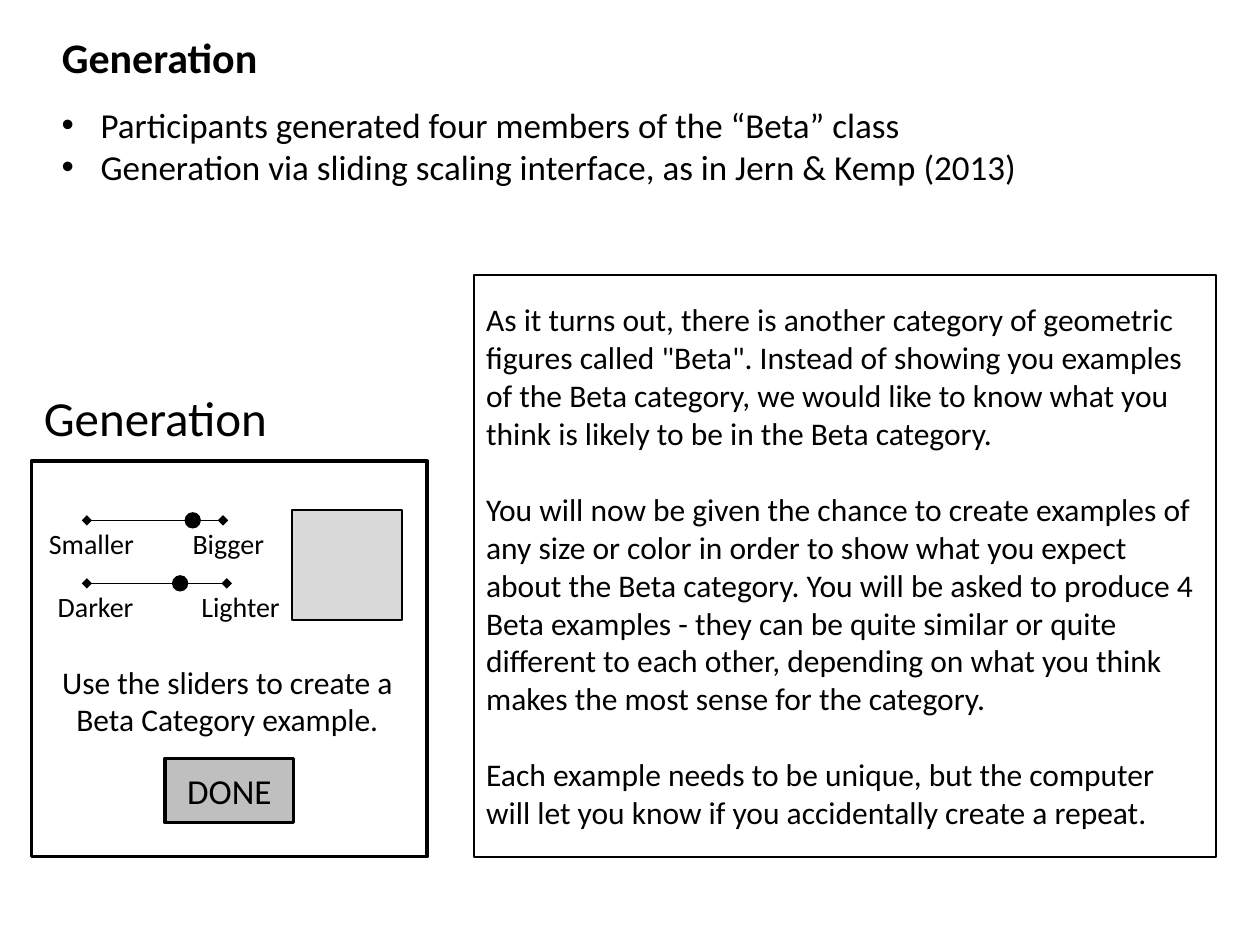
import pptx
import pptx.util
import pptx.dml.color
import pptx.enum.shapes
import pptx.enum.text
import pptx.oxml
import pptx.oxml.ns
from lxml import etree

Inches, Pt = pptx.util.Inches, pptx.util.Pt
SHAPE = pptx.enum.shapes.MSO_SHAPE
ALIGN = pptx.enum.text.PP_ALIGN
ANCHOR = pptx.enum.text.MSO_ANCHOR
qn = pptx.oxml.ns.qn

TITLE = "Generation"
POINTS = [
    "Participants generated four members of the “Beta” class",
    "Generation via sliding scaling interface, as in Jern & Kemp (2013)",
]
INSTRUCTIONS = [
    'As it turns out, there is another category of geometric figures called "Beta". '
    "Instead of showing you examples of the Beta category, we would like to know what "
    "you think is likely to be in the Beta category.",
    "You will now be given the chance to create examples of any size or color in order "
    "to show what you expect about the Beta category. You will be asked to produce 4 "
    "Beta examples - they can be quite similar or quite different to each other, "
    "depending on what you think makes the most sense for the category.",
    "Each example needs to be unique, but the computer will let you know if you "
    "accidentally create a repeat.",
]
SLIDERS = [
    {"y": 4.13, "end": 1.77, "knob": 1.53,
     "labels": [("Smaller", 0.29, 0.88), ("Bigger", 1.43, 0.78)]},
    {"y": 4.63, "end": 1.8, "knob": 1.43,
     "labels": [("Darker", 0.36, 0.81), ("Lighter", 1.5, 0.83)]},
]
SLIDER_START = 0.69
KNOB_SIZE = 0.13
BLACK = "000000"


def color(hex_value):
    return pptx.dml.color.RGBColor.from_string(hex_value)


def write(frame, texts, size, align=ALIGN.LEFT, bold=False, gap=0, wrap=True, anchor=ANCHOR.TOP):
    frame.word_wrap = wrap
    frame.auto_size = pptx.enum.text.MSO_AUTO_SIZE.NONE
    frame.vertical_anchor = anchor
    frame.text = "\n".join(texts)
    for paragraph in frame.paragraphs:
        paragraph.alignment = align
        paragraph.font.name = "Calibri"
        paragraph.font.size = Pt(size)
        paragraph.font.bold = bold
        paragraph.font.color.rgb = color(BLACK)
    for paragraph in frame.paragraphs[:-1]:
        paragraph.space_after = Pt(gap)


def add_text(slide, box, texts, size, **style):
    frame = slide.shapes.add_textbox(*map(Inches, box)).text_frame
    write(frame, texts, size, **style)
    return frame


def add_figure(slide, kind, box, fill=None, line_width=None):
    figure = slide.shapes.add_shape(kind, *map(Inches, box))
    figure.shadow.inherit = False
    if fill:
        figure.fill.solid()
        figure.fill.fore_color.rgb = color(fill)
    else:
        figure.fill.background()
    if line_width:
        figure.line.color.rgb = color(BLACK)
        figure.line.width = Pt(line_width)
    else:
        figure.line.fill.background()
    return figure


def add_bullets(frame):
    for paragraph in frame.paragraphs:
        properties = paragraph._p.get_or_add_pPr()
        properties.set("marL", str(Inches(0.31)))
        properties.set("indent", str(-Inches(0.31)))
        etree.SubElement(properties, qn("a:buFont"), typeface="Arial")
        etree.SubElement(properties, qn("a:buChar"), char="•")


def add_slider(slide, slider):
    y = slider["y"]
    track = slide.shapes.add_connector(
        pptx.enum.shapes.MSO_CONNECTOR.STRAIGHT,
        Inches(SLIDER_START), Inches(y), Inches(slider["end"]), Inches(y))
    track.line.color.rgb = color(BLACK)
    track.line.width = Pt(1)
    outline = track.line._get_or_add_ln()
    for end in ("a:headEnd", "a:tailEnd"):
        etree.SubElement(outline, qn(end), type="diamond")
    etree.SubElement(track._element.spPr, qn("a:effectLst"))

    half = KNOB_SIZE / 2
    add_figure(slide, SHAPE.OVAL, (slider["knob"] - half, y - half, KNOB_SIZE, KNOB_SIZE), BLACK)
    for label, left, width in slider["labels"]:
        add_text(slide, (left, y, width, 0.37), [label], 16, wrap=False)


def main():
    deck = pptx.Presentation()
    deck.slide_width, deck.slide_height = Inches(10), Inches(7.5)
    slide = deck.slides.add_slide(deck.slide_layouts[5])

    title = slide.shapes.title
    title.left, title.top, title.width, title.height = map(Inches, (0.39, 0.2, 9.42, 0.52))
    write(title.text_frame, [TITLE], 24, bold=True)
    add_bullets(add_text(slide, (0.39, 0.77, 9.42, 0.78), POINTS, 20))

    add_text(slide, (0.25, 3.03, 3.14, 0.57), ["Generation"], 28)
    add_figure(slide, SHAPE.RECTANGLE, (0.25, 3.66, 3.14, 3.14), line_width=2)
    add_text(slide, (0.39, 5.21, 2.83, 0.71),
             ["Use the sliders to create a Beta Category example."], 18, align=ALIGN.CENTER)
    done = add_figure(slide, SHAPE.RECTANGLE, (1.31, 6.02, 1.02, 0.51), "BFBFBF", 2)
    write(done.text_frame, ["DONE"], 20, align=ALIGN.CENTER, anchor=ANCHOR.MIDDLE)
    add_figure(slide, SHAPE.RECTANGLE, (2.32, 4.05, 0.87, 0.87), "D9D9D9", 1)
    for slider in SLIDERS:
        add_slider(slide, slider)

    panel = add_figure(slide, SHAPE.RECTANGLE, (3.76, 2.18, 5.89, 4.62), line_width=1)
    write(panel.text_frame, INSTRUCTIONS, 18, gap=22, anchor=ANCHOR.MIDDLE)

    deck.save("out.pptx")


if __name__ == "__main__":
    main()
